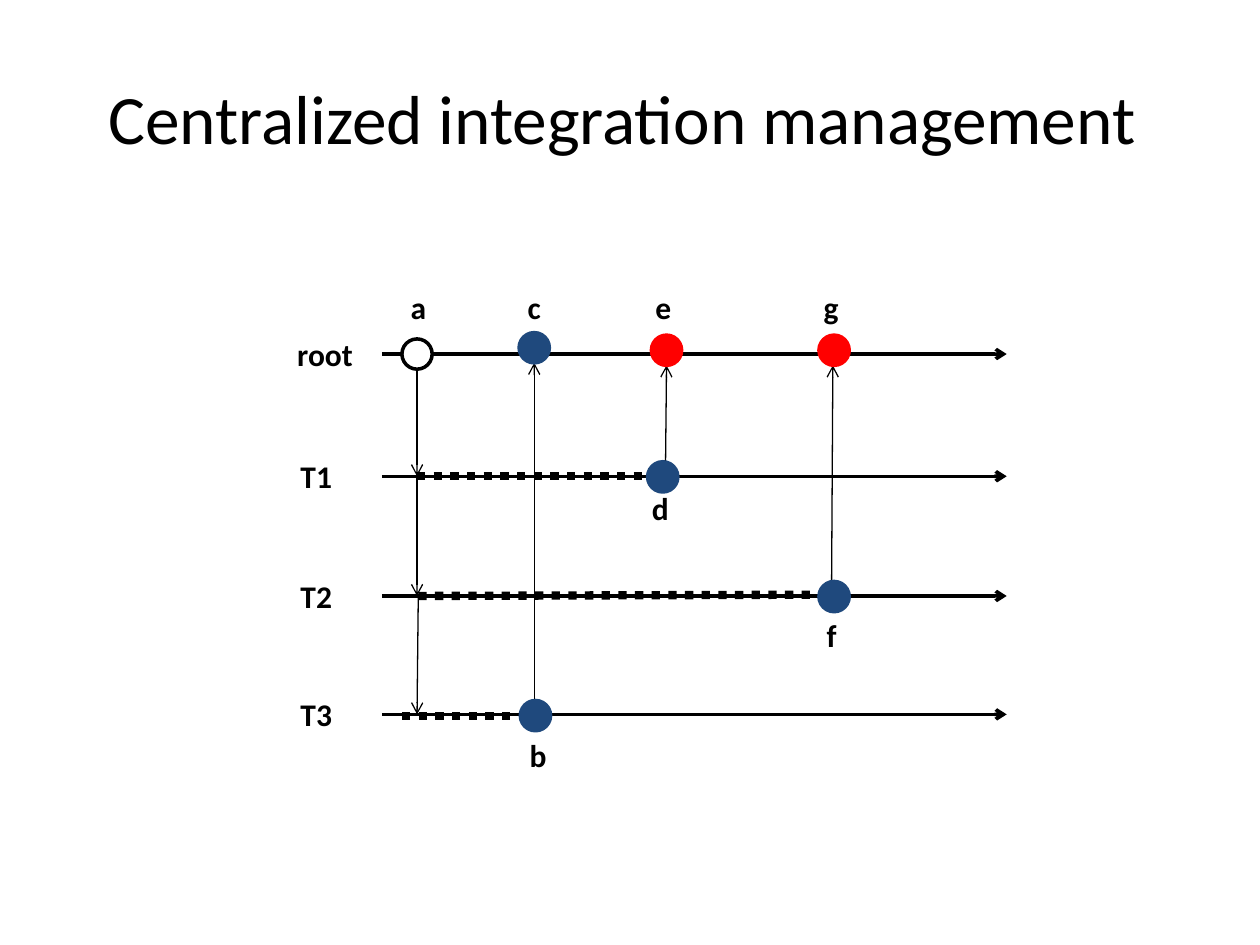
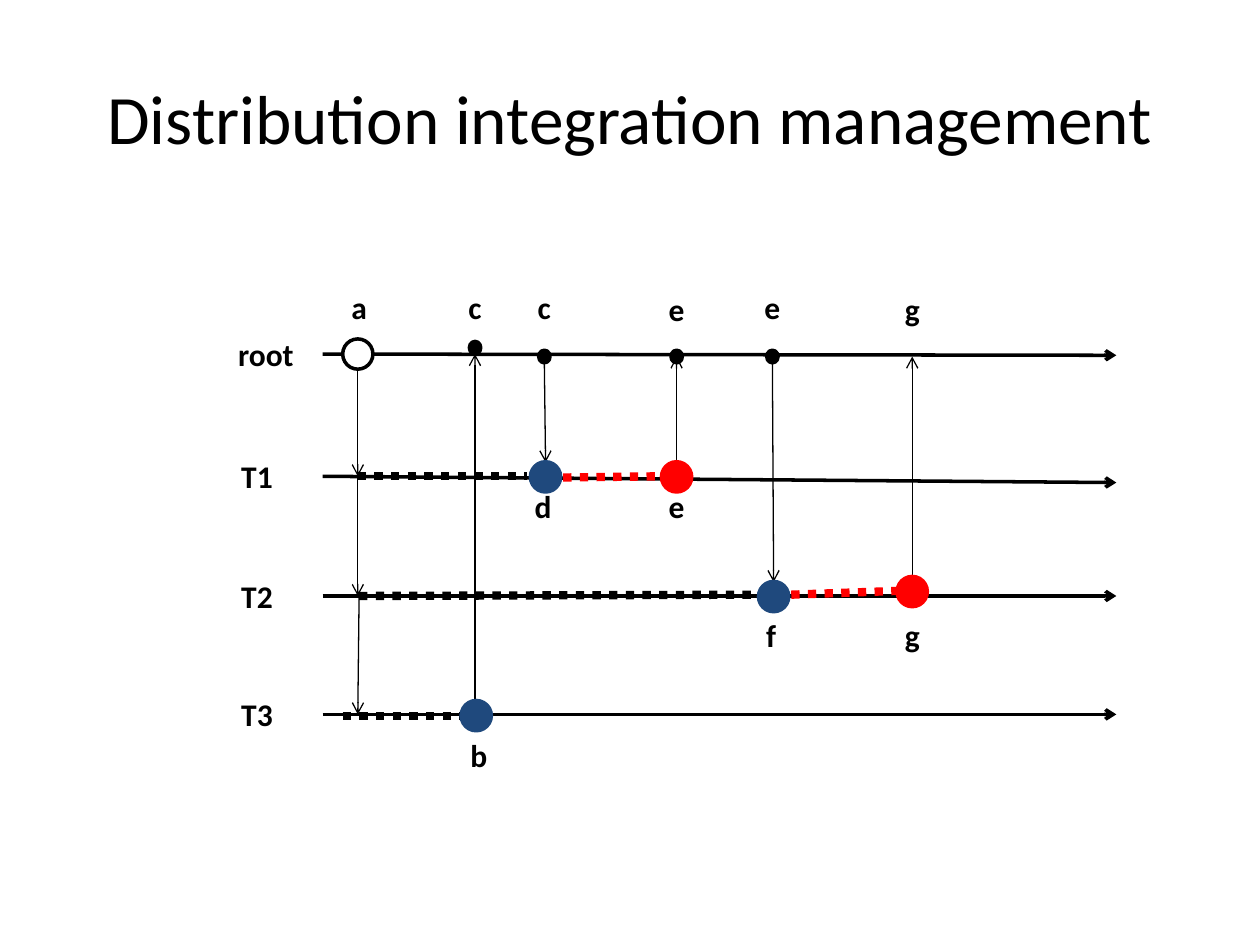
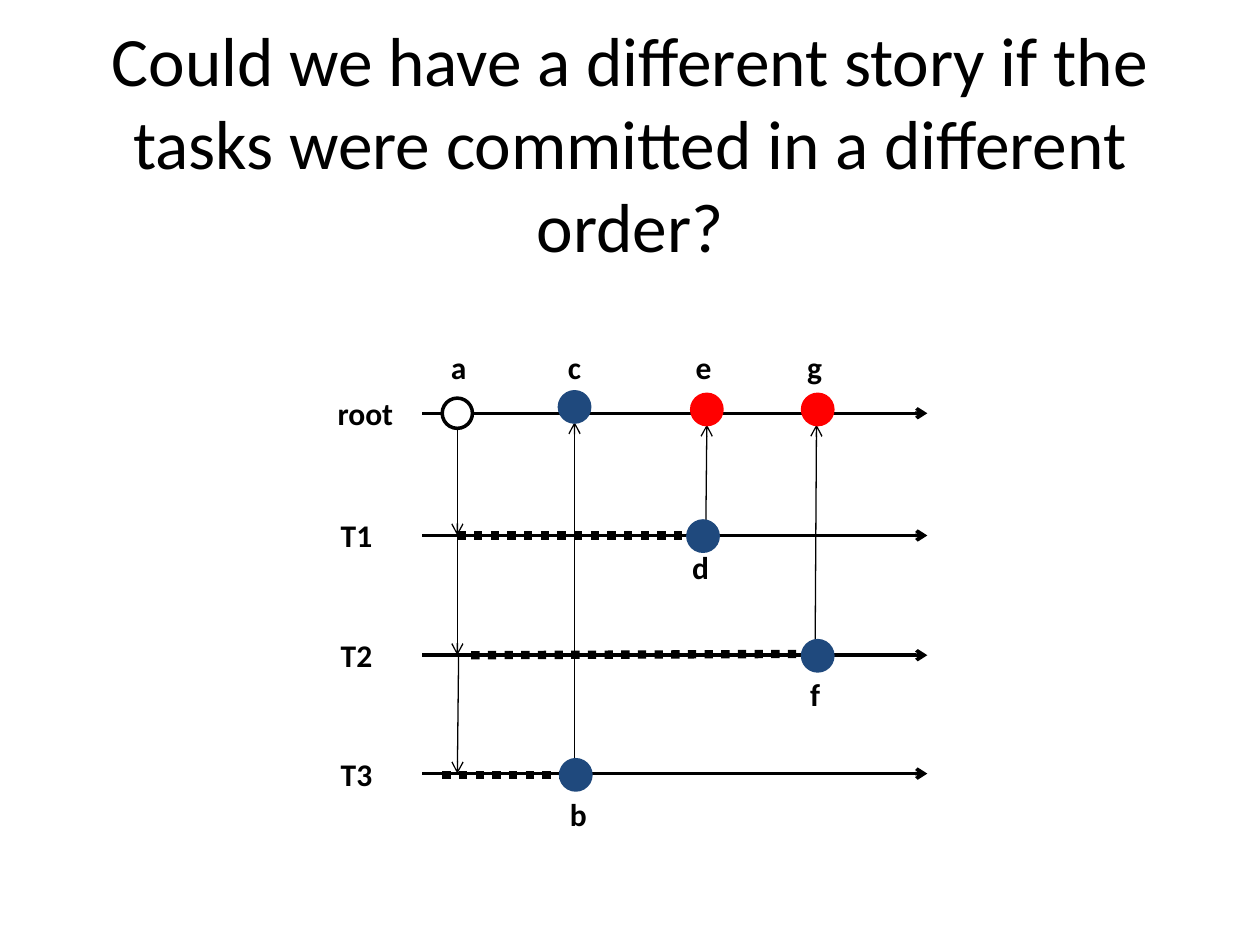
import pptx
import pptx.util
import pptx.dml.color
import pptx.enum.dml
import pptx.enum.shapes
import pptx.enum.text
import pptx.oxml
import pptx.oxml.ns
from lxml import etree

BLACK = pptx.dml.color.RGBColor(0x00, 0x00, 0x00)
WHITE = pptx.dml.color.RGBColor(0xFF, 0xFF, 0xFF)
BLUE = pptx.dml.color.RGBColor(0x1F, 0x49, 0x7D)
RED = pptx.dml.color.RGBColor(0xFF, 0x00, 0x00)

FONT = "Calibri"
WIDTH, HEIGHT = pptx.util.Inches(10), pptx.util.Inches(7.5)
UNIT = WIDTH / 100
ROOT, T1, T2, T3 = LANES = (0, 9.7, 19.2, 28.6)
ABOVE = -3.7
DISC = (2.4, 2.4)
DOT = (0.9, 1)
FORK = 2.8
FIRST = 12.1


def write(tf, text, size=18, bold=False, color=BLACK):
    """Write one centred paragraph in the deck's font."""
    p = tf.paragraphs[0]
    p.alignment = pptx.enum.text.PP_ALIGN.CENTER
    r = p.add_run()
    r.text = text
    r.font.name = FONT
    r.font.size = pptx.util.Pt(size)
    r.font.bold = bold
    r.font.color.rgb = color


def add_title_slide(prs, text, height=1 / 6):
    """Add a title-only slide, its title as high as the given share."""
    slide = prs.slides.add_slide(prs.slide_layouts[5])
    sp = slide.shapes.title
    sp.left, sp.top = int(WIDTH * 0.05), int(HEIGHT * 0.04)
    sp.width, sp.height = int(WIDTH * 0.9), int(HEIGHT * height)
    tf = sp.text_frame
    tf.word_wrap = True
    tf.auto_size = pptx.enum.text.MSO_AUTO_SIZE.NONE
    tf.vertical_anchor = pptx.enum.text.MSO_ANCHOR.MIDDLE
    write(tf, text, size=39.6)
    return slide


class Diagram:
    """A branch diagram on a grid that starts at the box's corner."""

    def __init__(self, slide, box):
        """Keep the shapes of the slide and the box (left, top, width)."""
        self.shapes = slide.shapes
        self.left, self.top, self.width = box

    def place(self, x, y):
        """Turn a column and a row into a place on the slide."""
        return int((self.left + x) * UNIT), int((self.top + y) * UNIT)

    def line(self, start, end, width=0.75, color=BLACK, dotted=False):
        """Draw an arrow, or a thick dotted line."""
        sp = self.shapes.add_connector(
            pptx.enum.shapes.MSO_CONNECTOR.STRAIGHT,
            *self.place(*start), *self.place(*end))
        sp.line.color.rgb = color
        sp.line.width = pptx.util.Pt(4.75 if dotted else width)
        if dotted:
            sp.line.dash_style = pptx.enum.dml.MSO_LINE.ROUND_DOT
        else:
            tail = etree.SubElement(sp.line._get_or_add_ln(), pptx.oxml.ns.qn("a:tailEnd"))
            tail.set("type", "arrow")
        etree.SubElement(sp._element.spPr, pptx.oxml.ns.qn("a:effectLst"))

    def disc(self, x, y, fill=BLUE, outline=None, size=DISC):
        """Draw a commit centred on a point."""
        w, h = size
        sp = self.shapes.add_shape(
            pptx.enum.shapes.MSO_SHAPE.OVAL,
            *self.place(x - w / 2, y - h / 2), int(w * UNIT), int(h * UNIT))
        sp.shadow.inherit = False
        sp.fill.solid()
        sp.fill.fore_color.rgb = fill
        sp.line.color.rgb = fill if outline is None else outline
        sp.line.width = pptx.util.Pt(2)

    def label(self, text, x, y, width=4.3):
        """Write a bold label centred on a point."""
        sp = self.shapes.add_textbox(
            *self.place(x - width / 2, y - 2), int(width * UNIT), int(4 * UNIT))
        sp.text_frame.word_wrap = True
        write(sp.text_frame, text, bold=True)

    def lanes(self, drifts=(0, 0, 0, 0)):
        """Draw the four named time lines."""
        for name, y, drift in zip(("root", "T1", "T2", "T3"), LANES, drifts):
            self.line((0, y), (self.width, y + drift), width=2)
            x, width = (-4.5, 6.7) if name == "root" else (-5.2, 8.4)
            self.label(name, x, y, width)

    def fork(self, dots, merge_row):
        """Draw commit a, its three branches, and commit b merged into c."""
        self.line((FORK, 1.1), (FORK, T1))
        self.line((FORK, T1), (FORK, T2))
        self.line((FORK + 0.1, T2), (FORK, T3))
        self.line((FIRST, T3 + 1.2), (FIRST, merge_row))
        for start, end in dots + [((1.6, T3 + 0.1), (FIRST - 0.1, T3 + 0.1))]:
            self.line(start, end, dotted=True)
        self.disc(FORK, ROOT, fill=WHITE, outline=BLACK)
        self.disc(FIRST + 0.1, T3 + 0.1)
        self.label("a", 2.9, ABOVE)
        self.label("b", 12.4, T3 + 3.2)
        self.label("c", FIRST, ABOVE, 7.4)


def draw_centralized(slide, box, last, wait):
    """Draw merges made on root; the last is in the given column."""
    d = Diagram(slide, box)
    second = 22.6
    d.lanes()
    d.fork([((FORK, T1), (second - 1.3, T1)), ((wait, T2), (last - 1.2, T2 - 0.1))], 0.7)
    d.line((second - 0.1, T1 + 1.2), (second, 0.9))
    d.line((last - 0.2, T2 - 1.1), (last - 0.1, 0.9))
    d.disc(FIRST, -0.5)
    for x, branch_x, y, names, drop in (
            (second, second - 0.3, T1, "ed", 2.5), (last, last, T2, "gf", 3.1)):
        d.disc(branch_x, y + 0.05)
        d.disc(x, -0.3, fill=RED)
        d.label(names[0], x - 0.25, ABOVE, 7.4)
        d.label(names[1], branch_x - 0.2, y + drop)


def draw_distributed(slide, box):
    """Draw merges made on the branches before they reach root."""
    d = Diagram(slide, box)
    d.lanes(drifts=(0.1, 0.5, 0, 0))
    d.fork([((FORK, T1), (16.2, T1)), ((FORK + 0.1, T2), (34.6, T2 - 0.1))], 0)
    d.disc(FIRST, -0.5, fill=BLACK, size=DOT)
    for pull, push, y, rise, names, drop in (
            (17.6, 28.1, T1, 0, "cdee", 2.4), (35.7, 46.8, T2, 0.4, "effg", 3.1)):
        d.line((pull, 0.4), (pull + 0.1, y - 1.1))
        d.line((push, y - 1.1 - rise), (push, 0.2))
        d.line((pull + 1.5, y + 0.1 - rise / 2), (push - 1.2, y - rise), color=RED, dotted=True)
        d.disc(pull, 0.2, fill=BLACK, size=DOT)
        d.disc(pull + 0.1, y + 0.05)
        d.disc(push, y + 0.05 - rise, fill=RED)
        d.label(names[0], pull, ABOVE, 3.7)
        d.label(names[1], pull - 0.1, y + drop, 3.7)
        top, bottom = ("e", "e") if y == T1 else ("g", "g")
        d.label(top, push, ABOVE + 0.1, 3.7)
        d.label(bottom, push, y + drop, 3.7)
    d.disc(28.1, 0.2, fill=BLACK, size=DOT)


def main():
    """Build the three slides."""
    prs = pptx.Presentation()
    prs.slide_width, prs.slide_height = WIDTH, HEIGHT
    slide = add_title_slide(prs, "Centralized integration management ")
    draw_centralized(slide, (30.3, 28.1, 49.6), last=35.9, wait=2.9)
    slide = add_title_slide(prs, "Distribution integration management")
    draw_distributed(slide, (25.6, 28.1, 63))
    slide = add_title_slide(
        prs, "Could we have a different story if the tasks were committed in a different order?",
        height=0.22)
    draw_centralized(slide, (33.5, 32.8, 40.1), last=31.4, wait=3.9)
    prs.save("out.pptx")


main()
